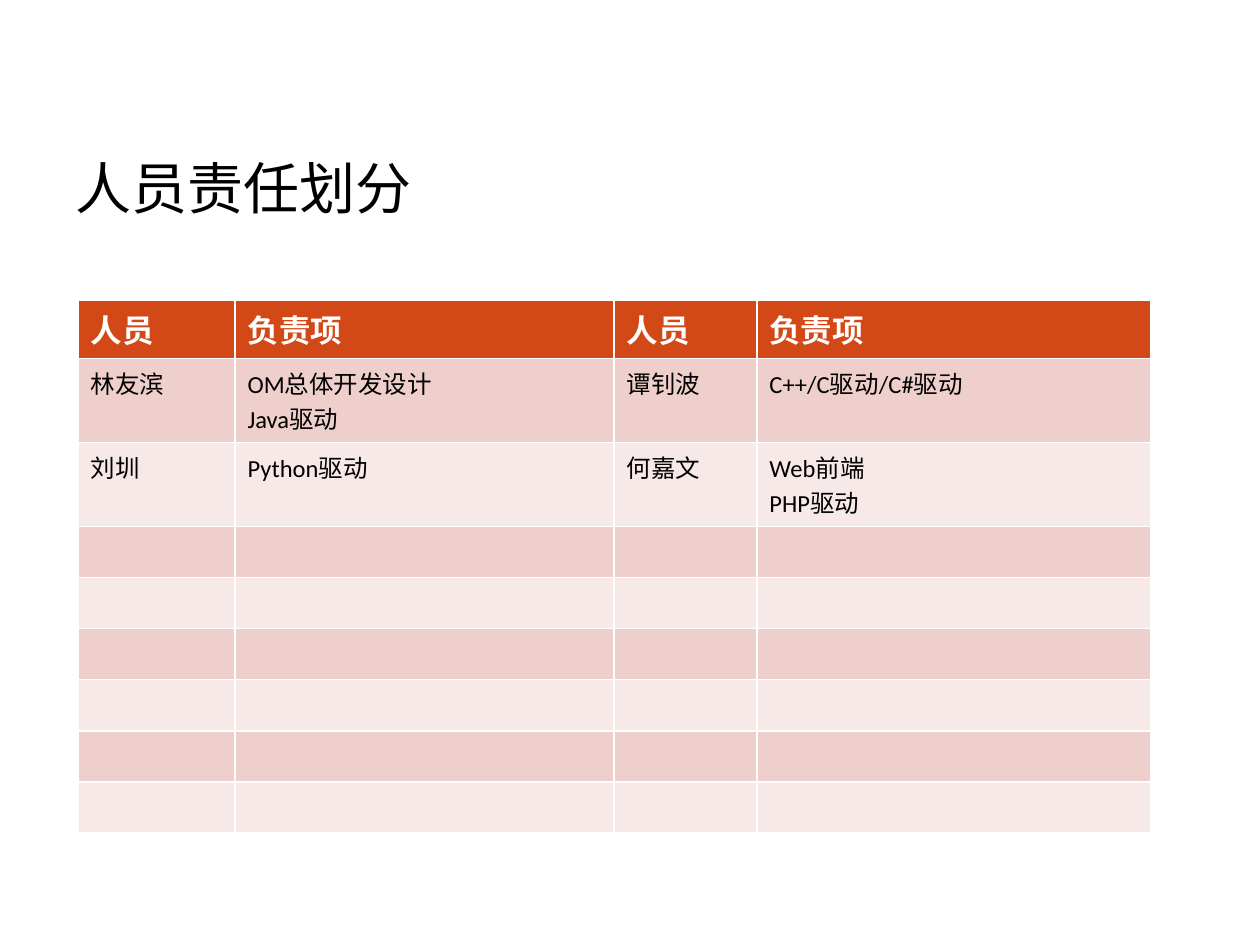
import pptx
import pptx.dml.color
import pptx.enum.text
import pptx.util

EMU_PER_PX = 914400 / 126
COLORS = {
    "title": "000000",
    "header": "D34817",
    "header_text": "FFFFFF",
    "body_text": "000000",
    "odd_row": "EFCFCC",
    "even_row": "F7E9E8",
}
HEADINGS = ["人员", "负责项"] * 2
DUTIES = [
    ["林友滨", "OM总体开发设计\nJava驱动", "谭钊波", "C++/C驱动/C#驱动"],
    ["刘圳", "Python驱动", "何嘉文", "Web前端\nPHP驱动"],
]
SPARE_ROWS = 6
COLUMN_WIDTHS = [157, 379, 143, 394]
ROW_HEIGHT = 51


def px(length):
    return pptx.util.Emu(round(length * EMU_PER_PX))


def style_font(font, name, size, color, bold=False):
    font.name = name
    font.size = pptx.util.Pt(size)
    font.bold = bold
    font.color.rgb = pptx.dml.color.RGBColor.from_string(COLORS[color])


presentation = pptx.Presentation()
presentation.slide_width = px(1260)
presentation.slide_height = px(945)
slide = presentation.slides.add_slide(presentation.slide_layouts[5])

title = slide.shapes.title
title.left, title.top, title.width, title.height = px(63), px(108), px(1134), px(158)
title.text_frame.vertical_anchor = pptx.enum.text.MSO_ANCHOR.MIDDLE
heading = title.text_frame.paragraphs[0]
heading.alignment = pptx.enum.text.PP_ALIGN.LEFT
heading_run = heading.add_run()
heading_run.text = "人员责任划分"
style_font(heading_run.font, "Roboto", 32, "title")

# The default table style supplies the white rules, thicker under the header.
rows = [HEADINGS] + DUTIES + [[""] * len(HEADINGS)] * SPARE_ROWS
duty_table = slide.shapes.add_table(
    len(rows), len(HEADINGS), px(78), px(300),
    px(sum(COLUMN_WIDTHS)), px(ROW_HEIGHT * len(rows)),
).table
for column, width in zip(duty_table.columns, COLUMN_WIDTHS):
    column.width = px(width)

for row_number, entries in enumerate(rows):
    duty_table.rows[row_number].height = px(ROW_HEIGHT)
    is_header = row_number == 0
    if is_header:
        fill, text_color, size = "header", "header_text", 18
    else:
        fill = "odd_row" if row_number % 2 else "even_row"
        text_color, size = "body_text", 14
    for column_number, entry in enumerate(entries):
        cell = duty_table.cell(row_number, column_number)
        cell.fill.solid()
        cell.fill.fore_color.rgb = pptx.dml.color.RGBColor.from_string(COLORS[fill])
        for line_number, line in enumerate(entry.splitlines()):
            frame = cell.text_frame
            paragraph = frame.add_paragraph() if line_number else frame.paragraphs[0]
            run = paragraph.add_run()
            run.text = line
            style_font(run.font, "Calibri", size, text_color, is_header)

presentation.save("out.pptx")
